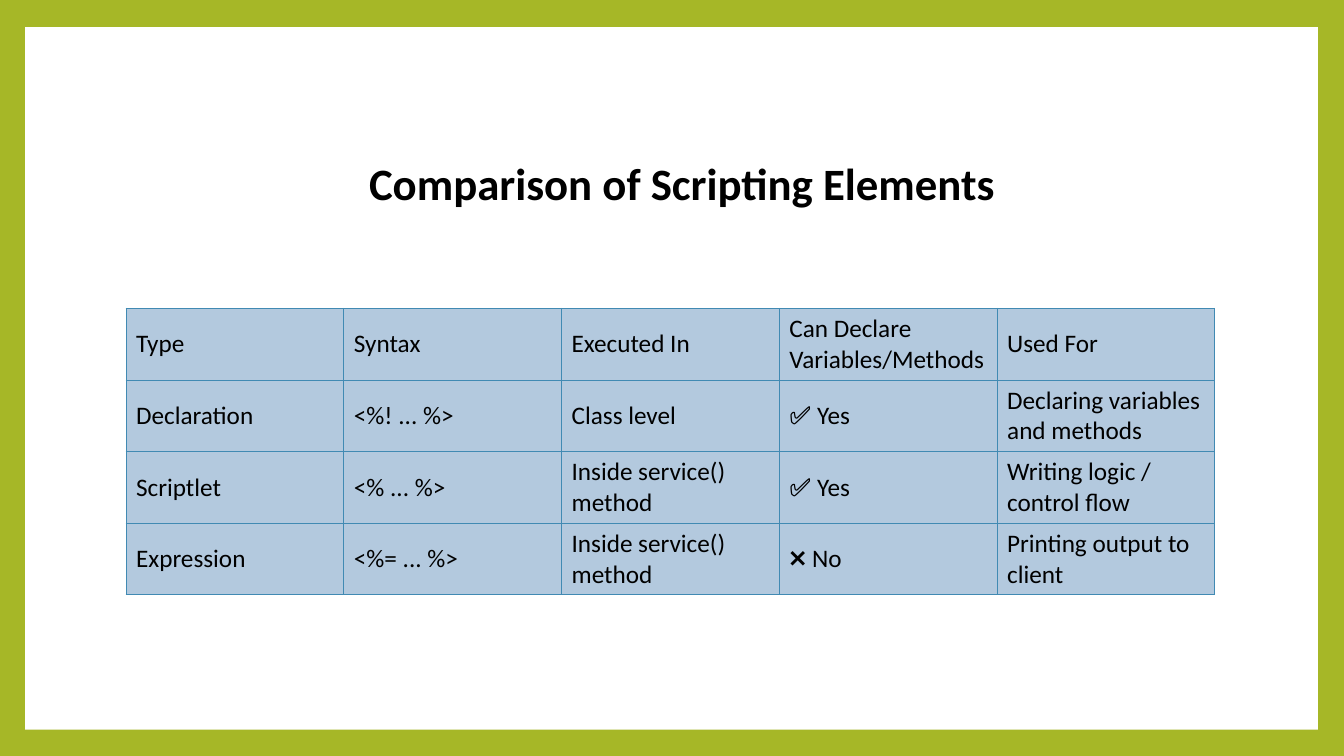
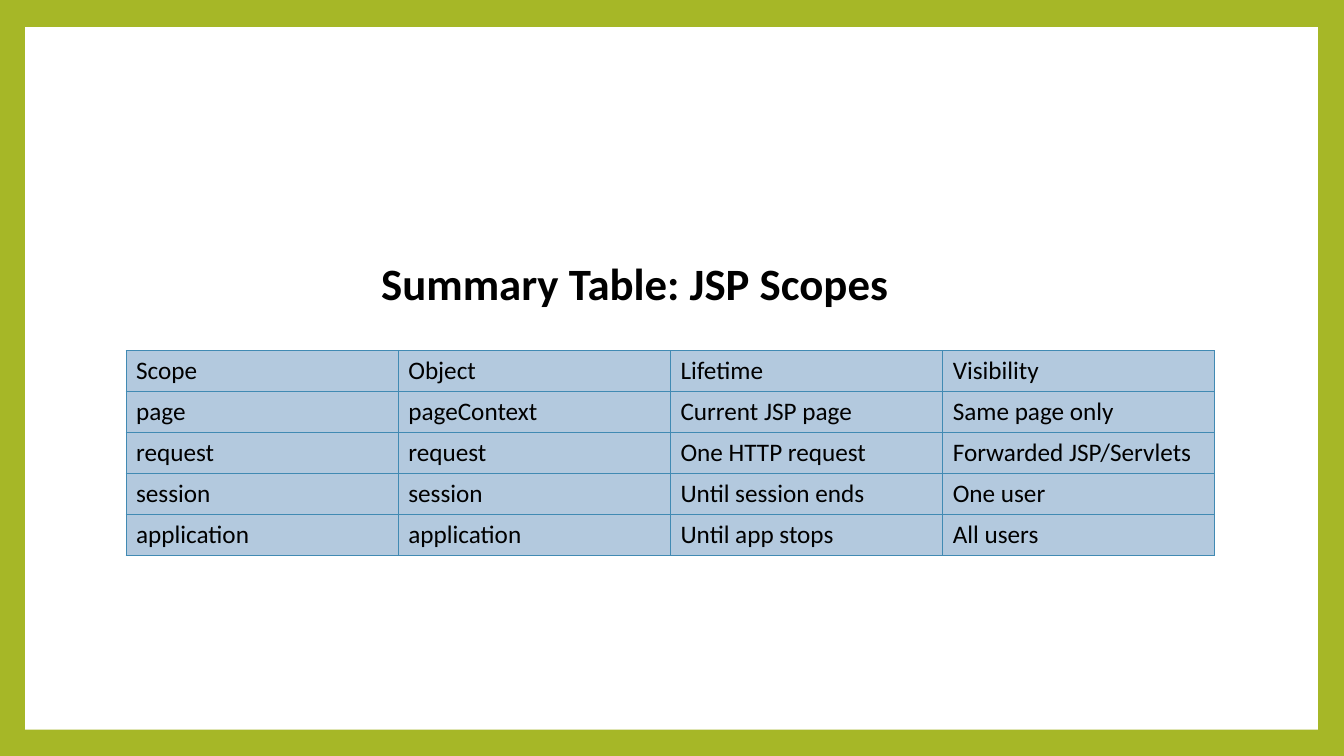
from dataclasses import dataclass

from pptx import Presentation
from pptx.dml.color import RGBColor
from pptx.enum import shapes, text
from pptx.oxml import parse_xml
from pptx.oxml.ns import nsdecls
from pptx.util import Inches, Pt


@dataclass(frozen=True)
class Theme:
    frame: str = "A6B727"
    panel: str = "FFFFFF"
    cell: str = "B3C9DE"
    border: str = "418AB3"
    ink: str = "000000"
    font: str = "Calibri"
    title_size: int = 32
    body_size: int = 18
    border_width: float = 0.79


THEME = Theme()
TITLE_ONLY = 5
SLIDES = [
    {
        "title": "Comparison of Scripting Elements",
        "title_box": (3.56, 1.49, 6.77, 0.64),
        "table_box": (1.25, 3.06, 10.8, 2.84),
        "rows": [
            ["Type", "Syntax", "Executed In", "Can Declare Variables/Methods", "Used For"],
            ["Declaration", "<%! ... %>", "Class level", "✅ Yes", "Declaring variables and methods"],
            ["Scriptlet", "<% ... %>", "Inside service() method", "✅ Yes", "Writing logic / control flow"],
            ["Expression", "<%= ... %>", "Inside service() method", "❌ No", "Printing output to client"],
        ],
    },
    {
        "title": "Summary Table: JSP Scopes",
        "title_box": (3.68, 2.49, 5.58, 0.64),
        "table_box": (1.25, 3.48, 10.8, 2),
        "rows": [
            ["Scope", "Object", "Lifetime", "Visibility"],
            ["page", "pageContext", "Current JSP page", "Same page only"],
            ["request", "request", "One HTTP request", "Forwarded JSP/Servlets"],
            ["session", "session", "Until session ends", "One user"],
            ["application", "application", "Until app stops", "All users"],
        ],
    },
]


def set_all(target, **values):
    for name, value in values.items():
        setattr(target, name, value)


def paint(fill, colour):
    fill.solid()
    fill.fore_color.rgb = RGBColor.from_string(colour)


def style_font(font, size, bold=False):
    set_all(font, name=THEME.font, size=Pt(size), bold=bold)
    font.color.rgb = RGBColor.from_string(THEME.ink)


def add_panel(slide, layout, box):
    paint(layout.background.fill, THEME.frame)
    sp = slide.shapes.add_shape(shapes.MSO_SHAPE.RECTANGLE, *map(Inches, box))
    paint(sp.fill, THEME.panel)
    sp.line.fill.background()
    sp.shadow.inherit = False
    layout.shapes.element.insert(2, sp.element)


def place_title(slide, title, box):
    sp = slide.shapes.title
    set_all(sp, **dict(zip(("left", "top", "width", "height"), map(Inches, box))))
    tf = sp.text_frame
    set_all(tf, text=title, word_wrap=True, auto_size=text.MSO_AUTO_SIZE.NONE,
            vertical_anchor=text.MSO_ANCHOR.TOP)
    p = tf.paragraphs[0]
    p.alignment = text.PP_ALIGN.LEFT
    style_font(p.runs[0].font, THEME.title_size, bold=True)


def format_cell(cell, value):
    set_all(cell, text=value, vertical_anchor=text.MSO_ANCHOR.MIDDLE)
    style_font(cell.text_frame.paragraphs[0].runs[0].font, THEME.body_size)
    props = cell._tc.get_or_add_tcPr()
    for side in "LRTB":
        props.append(parse_xml(
            f'<a:ln{side} {nsdecls("a")} w="{Pt(THEME.border_width)}"><a:solidFill>'
            f'<a:srgbClr val="{THEME.border}"/></a:solidFill></a:ln{side}>'))
    paint(cell.fill, THEME.cell)


def place_table(slide, rows, box):
    left, top, width, height = box
    columns = len(rows[0])
    table = slide.shapes.add_table(len(rows), columns, *map(Inches, box)).table
    set_all(table, first_row=False, horz_banding=False)
    for column in table.columns:
        column.width = Inches(width / columns)
    for row, values in zip(table.rows, rows):
        row.height = Inches(height / len(rows))
        for cell, value in zip(row.cells, values):
            format_cell(cell, value)


def main():
    prs = Presentation()
    set_all(prs, slide_width=Inches(13.33), slide_height=Inches(7.5))
    layout = prs.slide_layouts[TITLE_ONLY]
    for content in SLIDES:
        s = prs.slides.add_slide(layout)
        place_title(s, content["title"], content["title_box"])
        place_table(s, content["rows"], content["table_box"])
    add_panel(prs.slides[0], layout, (0.25, 0.27, 12.82, 6.97))
    prs.save("out.pptx")


if __name__ == "__main__":
    main()
